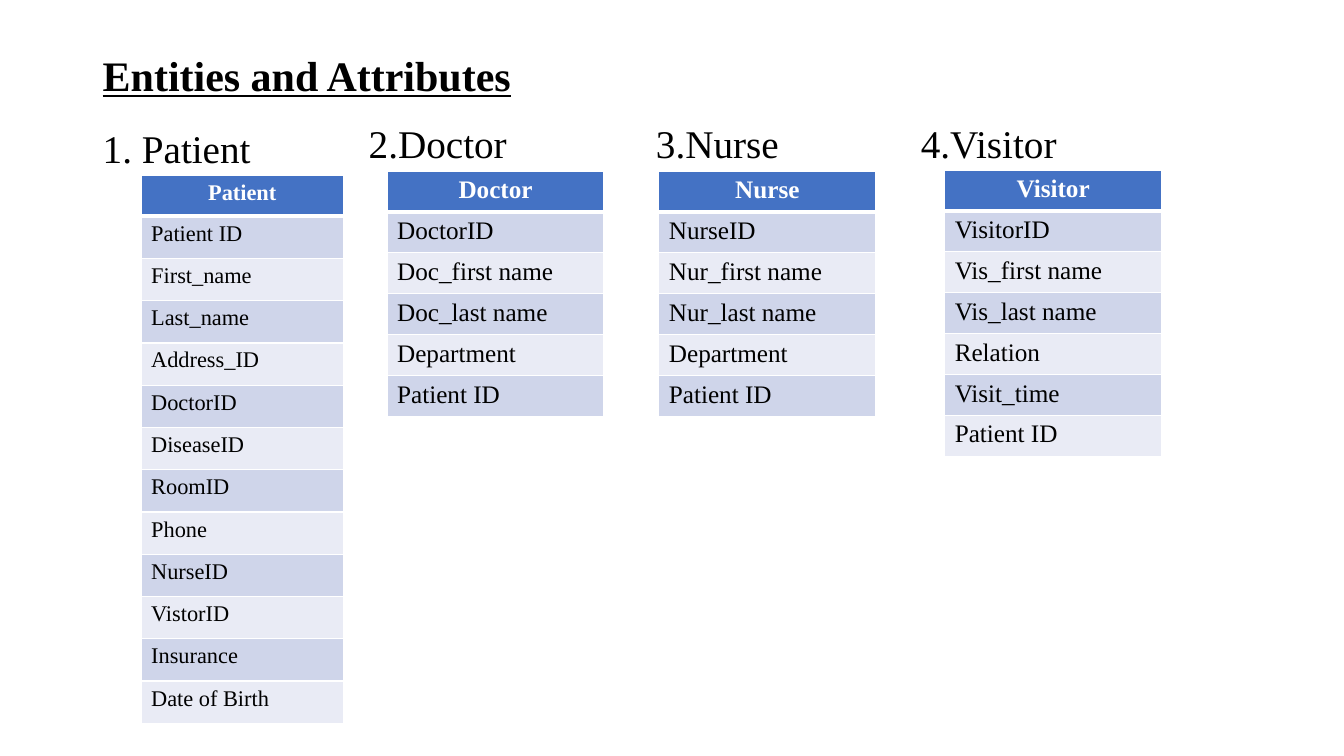
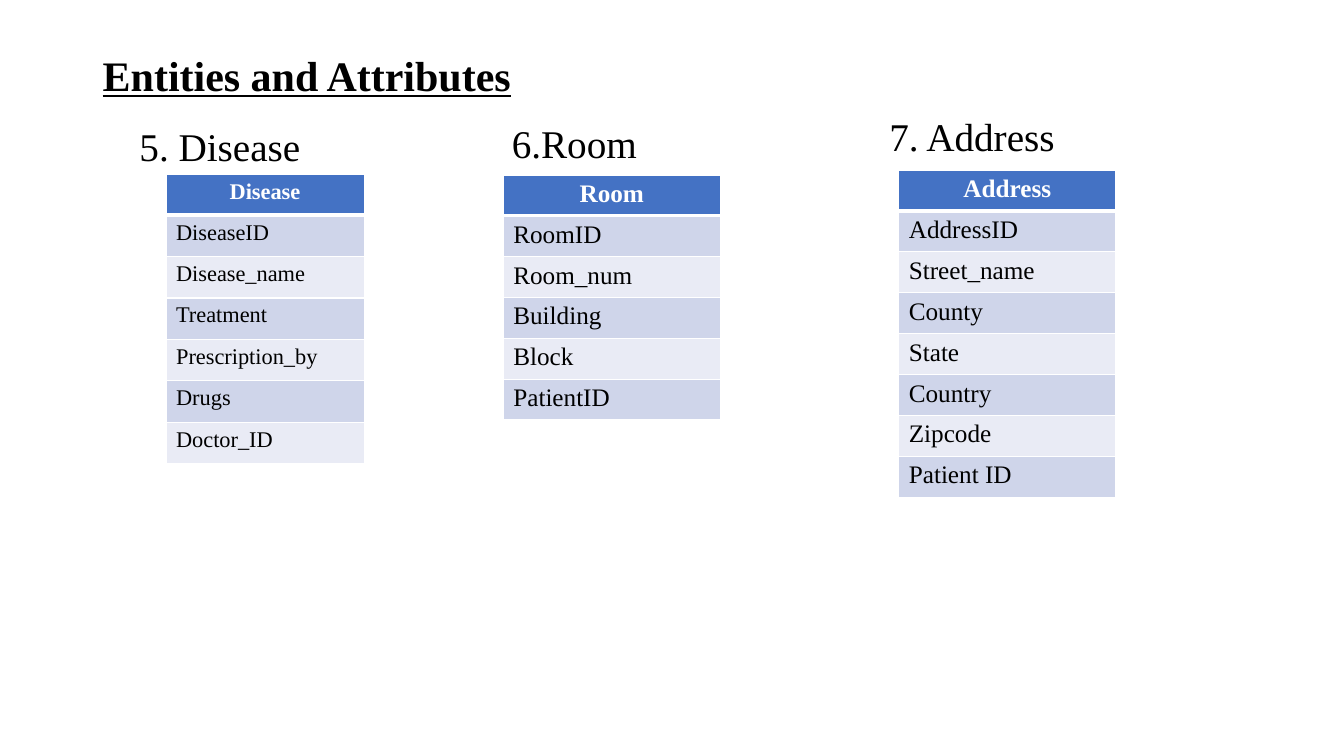
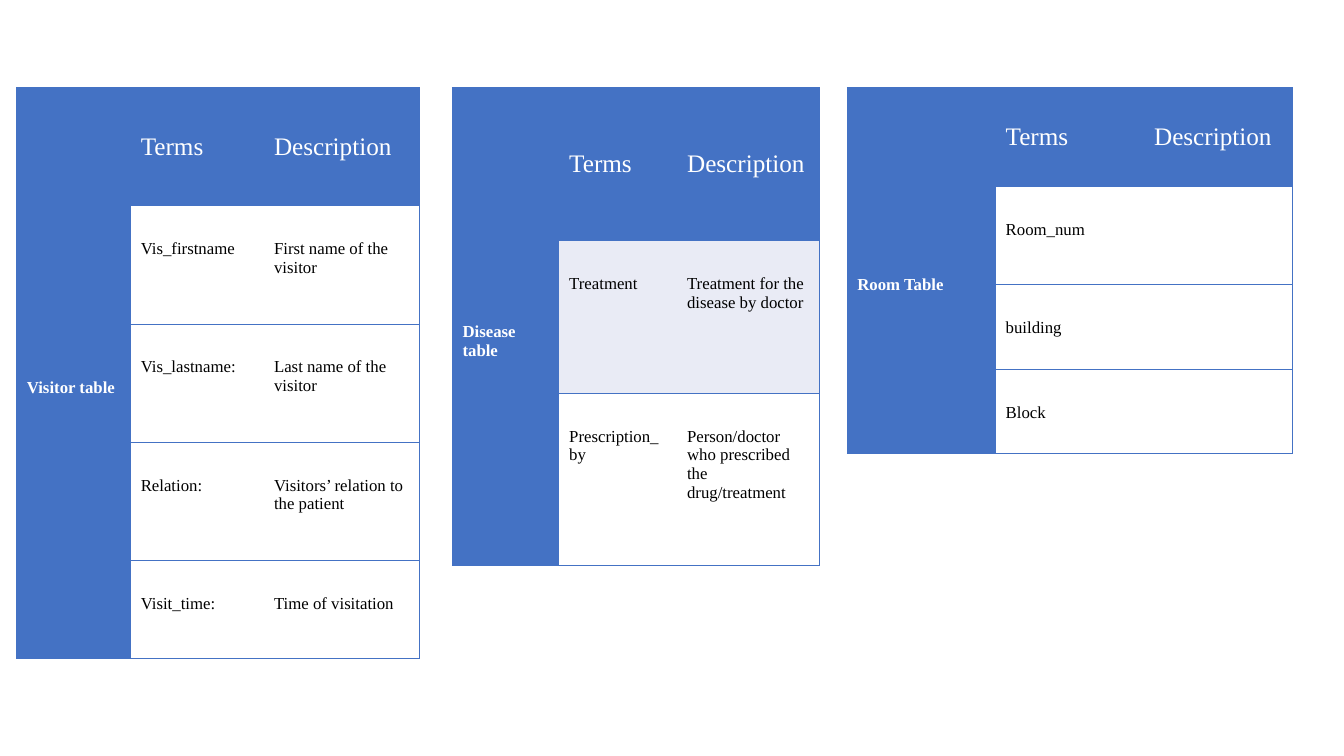
from dataclasses import dataclass

from lxml import etree
from pptx import Presentation
from pptx.dml.color import RGBColor
from pptx.enum.text import MSO_ANCHOR, MSO_AUTO_SIZE, PP_ALIGN
from pptx.oxml.ns import qn
from pptx.util import Pt

TOP, MIDDLE = MSO_ANCHOR.TOP, MSO_ANCHOR.MIDDLE
LEFT, CENTER = PP_ALIGN.LEFT, PP_ALIGN.CENTER
NO_FIT, FIT_SHAPE = MSO_AUTO_SIZE.NONE, MSO_AUTO_SIZE.SHAPE_TO_FIT_TEXT
CONTENT_LAYOUT, BLANK_LAYOUT = 1, 6
SIDES = ("L", "R", "T", "B")


@dataclass(frozen=True)
class Theme:
    font: str = "Times New Roman"
    black: str = "000000"
    white: str = "FFFFFF"
    blue: str = "4472C4"
    band_dark: str = "CFD5EA"
    band_light: str = "E9EBF5"
    title_size: float = 30
    heading_size: float = 28
    table_size: float = 18
    compact_size: float = 16
    term_size: float = 12
    term_drop: float = 24.3


THEME = Theme()


@dataclass(frozen=True)
class Entity:
    heading: str
    heading_at: tuple
    table_at: tuple
    attributes: tuple
    width: float = 155
    row_height: float = 29.2
    size: float = THEME.table_size

    @property
    def name(self):
        return self.heading.split(".")[1].strip()


@dataclass(frozen=True)
class Glossary:
    name: str
    left: float
    columns: tuple
    rows: tuple
    terms: tuple
    line: float = 0.5
    tinted_rows: tuple = ()


HEADER_HEIGHT = 29
GLOSSARY_TOP = 62.6

PEOPLE = (
    Entity("1. Patient", (66.2, 91.4, 167, 36), (100.8, 125.4),
           ("Patient ID", "First_name", "Last_name", "Address_ID", "DoctorID",
            "DiseaseID", "RoomID", "Phone", "NurseID", "VistorID",
            "Insurance", "Date of Birth"),
           width=144.5, row_height=30.2, size=THEME.compact_size),
    Entity("2.Doctor", (256.3, 82, 139, 41), (276.5, 122.4),
           ("DoctorID", "Doc_first name", "Doc_last name", "Department",
            "Patient ID")),
    Entity("3.Nurse", (461.5, 82, 139, 41), (470.6, 122.4),
           ("NurseID", "Nur_first name", "Nur_last name", "Department",
            "Patient ID")),
    Entity("4.Visitor", (650.7, 82, 139, 41), (674.8, 121.7),
           ("VisitorID", "Vis_first name", "Vis_last name", "Relation",
            "Visit_time", "Patient ID")),
)

PLACES = (
    Entity("5. Disease", (92.4, 90, 167, 36), (118.6, 124.6),
           ("DiseaseID", "Disease_name", "Treatment", "Prescription_by",
            "Drugs", "Doctor_ID"),
           width=141.5, row_height=29.6, size=THEME.compact_size),
    Entity("6.Room", (358.5, 82, 139, 41), (359.5, 125),
           ("RoomID", "Room_num", "Building", "Block", "PatientID")),
    Entity("7. Address", (628.2, 76.5, 139, 41), (642, 121.7),
           ("AddressID", "Street_name", "County", "State", "Country",
            "Zipcode", "Patient ID")),
)

GLOSSARIES = (
    Glossary("Visitor table", 12, (81.4, 95.2, 110.8),
             (84.4, 84.4, 84.4, 84.4, 70.4),
             (("Vis_firstname", "First name of the visitor"),
              ("Vis_lastname:", "Last name of the visitor"),
              ("Relation:", "Visitors’ relation to the patient"),
              ("Visit_time:", "Time of visitation"))),
    Glossary("Disease table", 323.2, (76.2, 84.2, 102), (109.2, 109.2, 123.2),
             (("Treatment", "Treatment for the disease by doctor"),
              ("Prescription_by",
               "Person/doctor who prescribed the drug/treatment")),
             line=1, tinted_rows=(1,)),
    Glossary("Room Table", 605.2, (106, 106, 106), (70.4, 70.4, 60.4, 60.4),
             (("Room_num", ""), ("building", ""), ("Block", ""))),
)


def color(code):
    return RGBColor.from_string(code)


def write(frame, text, size, ink=THEME.black, bold=False, underline=False,
          align=LEFT, spacing=None):
    para = frame.paragraphs[0]
    para.alignment = align
    para.space_before = Pt(0)
    if spacing:
        para.line_spacing = spacing
    span = para.add_run()
    span.text = text
    font = span.font
    font.name, font.size = THEME.font, Pt(size)
    font.bold, font.underline = bold, underline
    font.color.rgb = color(ink)
    return para


def place(shape, left, top, width, height):
    shape.left, shape.top = Pt(left), Pt(top)
    shape.width, shape.height = Pt(width), Pt(height)


def remove_bullet(para):
    properties = para._p.get_or_add_pPr()
    properties.set("marL", "0")
    properties.set("indent", "0")
    etree.SubElement(properties, qn("a:buNone"))


def set_borders(cell, lines):
    """Draw the sides found in lines, as side: (colour, width); clear the rest."""
    properties = cell._tc.get_or_add_tcPr()
    for index, side in enumerate(SIDES):
        line = etree.Element(qn(f"a:ln{side}"))
        if side in lines:
            ink, width = lines[side]
            line.set("w", str(int(Pt(width))))
            fill = etree.SubElement(line, qn("a:solidFill"))
            etree.SubElement(fill, qn("a:srgbClr"), val=ink)
        else:
            etree.SubElement(line, qn("a:noFill"))
        properties.insert(index, line)


def paint(cell, fill, lines):
    cell.fill.solid()
    cell.fill.fore_color.rgb = color(fill)
    set_borders(cell, lines)


def add_grid(slide, left, top, columns, rows):
    frame = slide.shapes.add_table(len(rows), len(columns), Pt(left), Pt(top),
                                   Pt(sum(columns)), Pt(sum(rows)))
    table = frame.table
    table.first_row = table.horz_banding = False
    for column, width in zip(table.columns, columns):
        column.width = Pt(width)
    for row, height in zip(table.rows, rows):
        row.height = Pt(height)
    return table


def add_title(slide, text):
    title = slide.shapes.title
    place(title, 66.2, 28.8, 828, 53.3)
    frame = title.text_frame
    frame.auto_size, frame.vertical_anchor = NO_FIT, MIDDLE
    write(frame, text, THEME.title_size, bold=True, underline=True, spacing=0.9)


def fill_body_heading(slide, entity):
    body = slide.placeholders[1]
    place(body, *entity.heading_at)
    frame = body.text_frame
    frame.auto_size, frame.vertical_anchor = NO_FIT, TOP
    para = write(frame, entity.heading, THEME.heading_size, spacing=0.8)
    remove_bullet(para)


def add_heading_box(slide, entity):
    box = slide.shapes.add_textbox(*map(Pt, entity.heading_at))
    frame = box.text_frame
    frame.word_wrap, frame.auto_size = True, FIT_SHAPE
    write(frame, entity.heading, THEME.heading_size)


def add_entity_table(slide, entity):
    count = len(entity.attributes)
    table = add_grid(slide, *entity.table_at, (entity.width,),
                     (HEADER_HEIGHT,) + (entity.row_height,) * count)
    thin, thick = (THEME.white, 1), (THEME.white, 3)
    frame_lines = dict.fromkeys(SIDES, thin)

    header = table.cell(0, 0)
    write(header.text_frame, entity.name, entity.size, ink=THEME.white,
          bold=True, align=CENTER)
    paint(header, THEME.blue, {**frame_lines, "B": thick})

    for row, attribute in enumerate(entity.attributes, start=1):
        cell = table.cell(row, 0)
        write(cell.text_frame, attribute, entity.size)
        lines = {**frame_lines, "T": thick} if row == 1 else frame_lines
        paint(cell, THEME.band_dark if row % 2 else THEME.band_light, lines)


def add_glossary_table(slide, glossary):
    table = add_grid(slide, glossary.left, GLOSSARY_TOP, glossary.columns,
                     glossary.rows)
    last_row, last_column = len(glossary.rows) - 1, len(glossary.columns) - 1
    line = (THEME.blue, glossary.line)
    for row in range(last_row + 1):
        for column in range(last_column + 1):
            if row == 0 or column == 0:
                fill = THEME.blue
            elif row in glossary.tinted_rows:
                fill = THEME.band_light
            else:
                fill = THEME.white
            lines = {"T": line, "B": line}
            if column == 0:
                lines["L"] = line
            if column == last_column:
                lines["R"] = line
            paint(table.cell(row, column), fill, lines)

    name_cell = table.cell(0, 0)
    name_cell.merge(table.cell(last_row, 0))
    name_cell.vertical_anchor = MIDDLE
    name_cell.margin_top = Pt(THEME.term_drop)
    write(name_cell.text_frame, glossary.name, THEME.term_size,
          ink=THEME.white, bold=True)

    for column, label in enumerate(("Terms", "Description"), start=1):
        cell = table.cell(0, column)
        cell.vertical_anchor = MIDDLE
        write(cell.text_frame, label, THEME.table_size, ink=THEME.white)

    for row, texts in enumerate(glossary.terms, start=1):
        for column, text in enumerate(texts, start=1):
            if text:
                cell = table.cell(row, column)
                cell.margin_top = Pt(THEME.term_drop)
                write(cell.text_frame, text, THEME.term_size)


def add_entity_slide(deck, entities):
    slide = deck.slides.add_slide(deck.slide_layouts[CONTENT_LAYOUT])
    add_title(slide, "Entities and Attributes")
    fill_body_heading(slide, entities[0])
    for entity in entities[1:]:
        add_heading_box(slide, entity)
    for entity in entities:
        add_entity_table(slide, entity)


def add_glossary_slide(deck, glossaries):
    slide = deck.slides.add_slide(deck.slide_layouts[BLANK_LAYOUT])
    for glossary in glossaries:
        add_glossary_table(slide, glossary)


def main():
    deck = Presentation()
    deck.slide_width, deck.slide_height = Pt(960), Pt(540)
    add_entity_slide(deck, PEOPLE)
    add_entity_slide(deck, PLACES)
    add_glossary_slide(deck, GLOSSARIES)
    deck.save("out.pptx")


if __name__ == "__main__":
    main()
